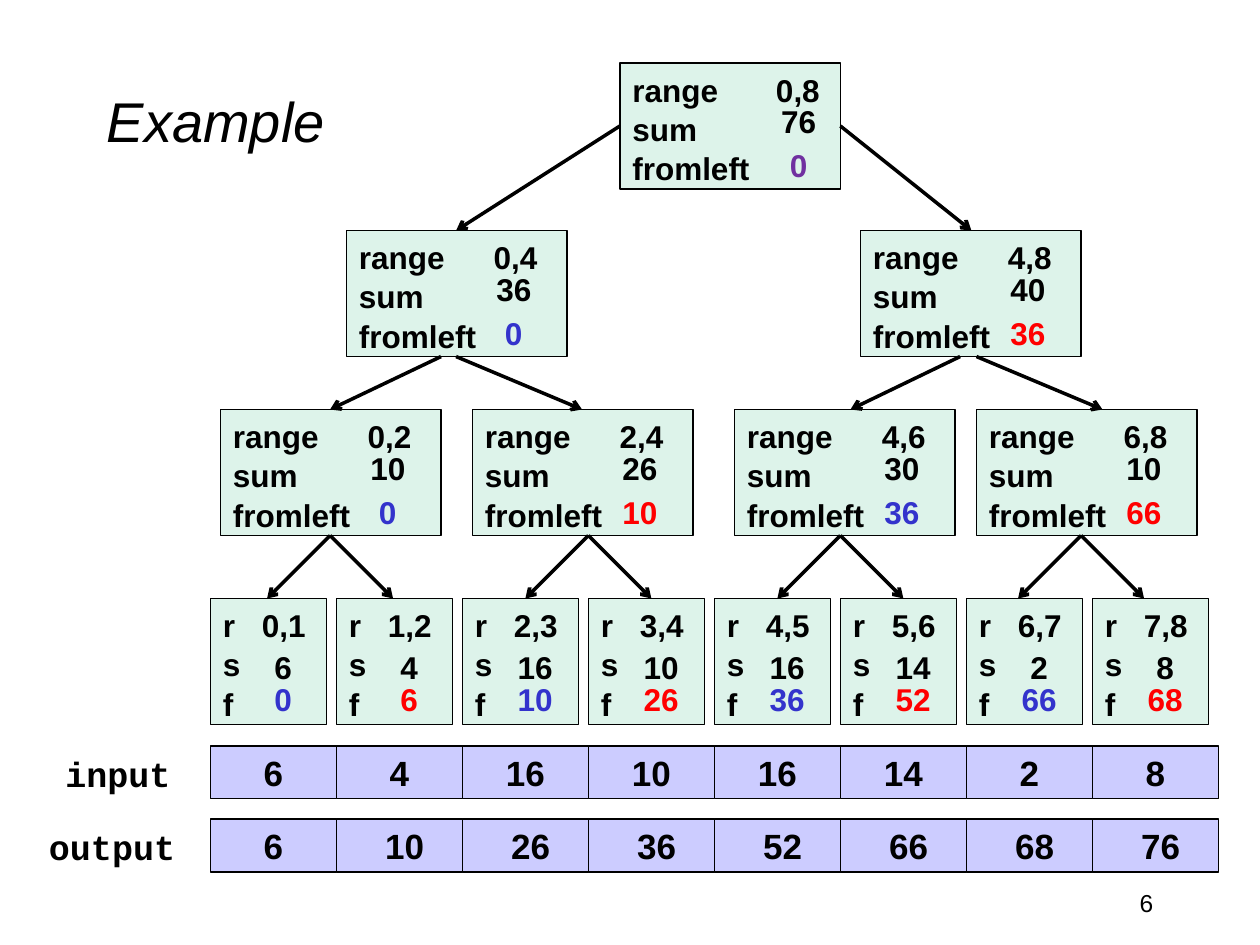
from lxml import etree
from pptx import Presentation
from pptx.dml.color import RGBColor
from pptx.enum.shapes import MSO_CONNECTOR, MSO_SHAPE
from pptx.enum.text import MSO_ANCHOR, MSO_AUTO_SIZE, PP_ALIGN
from pptx.oxml.ns import qn
from pptx.util import Cm, Pt

BLACK = RGBColor(0x00, 0x00, 0x00)
WHITE = RGBColor(0xFF, 0xFF, 0xFF)
MINT = RGBColor(0xDD, 0xF3, 0xEA)
LAVENDER = RGBColor(0xCC, 0xCC, 0xFF)
PURPLE = RGBColor(0x70, 0x30, 0xA0)
BLUE = RGBColor(0x33, 0x33, 0xCC)
RED = RGBColor(0xFF, 0x00, 0x00)


def inch(value):
    return Cm(2.54 * value)


class TreeSlide:
    font = "Arial"
    mono = "Courier New"
    node_size = 18
    cell_size = 20
    line_width = 0.75
    arrow_width = 2
    line_spacing = 1.04

    def __init__(self, slide):
        self.slide = slide
        background = slide.background.fill
        background.solid()
        background.fore_color.rgb = WHITE

    def fill_text(self, shape, lines, size, color=BLACK, bold=True, italic=False,
                  font=None, align=PP_ALIGN.LEFT, anchor=MSO_ANCHOR.TOP,
                  wrap=False, spacing=None, tab=None):
        frame = shape.text_frame
        frame.word_wrap = wrap
        frame.vertical_anchor = anchor
        for index, line in enumerate(lines):
            paragraph = frame.add_paragraph() if index else frame.paragraphs[0]
            paragraph.alignment = align
            if spacing:
                paragraph.line_spacing = spacing
            if tab and "\t" in line:
                tabs = etree.SubElement(paragraph._p.get_or_add_pPr(), qn("a:tabLst"))
                etree.SubElement(tabs, qn("a:tab"), pos=str(inch(tab)), algn="l")
            run = paragraph.add_run()
            run.text = line
            run.font.name = font or self.font
            run.font.size = Pt(size)
            run.font.bold = bold
            run.font.italic = italic
            run.font.color.rgb = color

    def text(self, x, y, w, h, content, size, grow=False, **style):
        box = self.slide.shapes.add_textbox(inch(x), inch(y), inch(w), inch(h))
        self.fill_text(box, [content], size, **style)
        if grow:
            box.text_frame.auto_size = MSO_AUTO_SIZE.SHAPE_TO_FIT_TEXT

    def box(self, x, y, w, h, fill):
        shape = self.slide.shapes.add_shape(
            MSO_SHAPE.RECTANGLE, inch(x), inch(y), inch(w), inch(h))
        shape.shadow.inherit = False
        shape.fill.solid()
        shape.fill.fore_color.rgb = fill
        shape.line.color.rgb = BLACK
        shape.line.width = Pt(self.line_width)
        return shape

    def value(self, center, y, number, color=BLACK):
        width = 0.34 if number < 10 else 0.48
        self.text(center - width / 2, y, width, 0.4, str(number), self.node_size,
                  grow=True, color=color, spacing=self.line_spacing)

    def node(self, x, y, width, labels, span, tab, center, offsets, total, left, color):
        first, *others = labels
        shape = self.box(x, y, width, 1, MINT)
        self.fill_text(shape, [f"{first}\t{span}", *others], self.node_size,
                       spacing=self.line_spacing, tab=tab)
        self.value(x + center, y + offsets[0], total)
        self.value(x + center, y + offsets[1], left, color)

    def array(self, y, label, label_x, label_width, values, nudged):
        self.text(label_x, y, label_width, 0.44, label, self.cell_size,
                  grow=True, font=self.mono)
        for column, number in enumerate(values):
            cell = self.box(1.67 + column, y, 1, 0.42, LAVENDER)
            if nudged and column:
                cell.text_frame.margin_left = inch(0.18)
            self.fill_text(cell, [str(number)], self.cell_size,
                           align=PP_ALIGN.CENTER, anchor=MSO_ANCHOR.MIDDLE)

    def arrow(self, x1, y1, x2, y2):
        connector = self.slide.shapes.add_connector(
            MSO_CONNECTOR.STRAIGHT, inch(x1), inch(y1), inch(x2), inch(y2))
        connector.line.color.rgb = BLACK
        connector.line.width = Pt(self.arrow_width)
        properties = connector._element.spPr
        etree.SubElement(properties.find(qn("a:ln")), qn("a:tailEnd"), type="arrow")
        etree.SubElement(properties, qn("a:effectLst"))


INNER_LABELS = ("range", "sum", "fromleft")
LEAF_LABELS = ("r", "s", "f")
INNER_NODES = [
    (4.92, 0.5, "0,8", 76, 0, PURPLE),
    (2.75, 1.83, "0,4", 36, 0, BLUE),
    (6.83, 1.83, "4,8", 40, 36, RED),
    (1.75, 3.25, "0,2", 10, 0, BLUE),
    (3.75, 3.25, "2,4", 26, 10, RED),
    (5.83, 3.25, "4,6", 30, 36, BLUE),
    (7.75, 3.25, "6,8", 10, 66, RED),
]
INPUT = [6, 4, 16, 10, 16, 14, 2, 8]
OUTPUT = [6, 10, 26, 36, 52, 66, 68, 76]
LEAF_FROMLEFT = [0, 6, 10, 26, 36, 52, 66, 68]
UPPER_ARROWS = [
    (4.92, 1, 3.62, 1.83), (6.67, 1, 7.71, 1.83),
    (3.5, 2.83, 2.62, 3.25), (3.62, 2.83, 4.62, 3.25),
    (7.62, 2.83, 6.75, 3.25), (7.75, 2.83, 8.75, 3.25),
]

prs = Presentation()
prs.slide_width, prs.slide_height = inch(10), inch(7.5)
tree = TreeSlide(prs.slides.add_slide(prs.slide_layouts[6]))

tree.text(0.75, 0.33, 8.5, 1.25, "Example", 32, bold=False, italic=True,
          anchor=MSO_ANCHOR.MIDDLE, wrap=True)
tree.text(7.17, 7, 2.08, 0.5, "6", 14, bold=False, align=PP_ALIGN.RIGHT, wrap=True)
tree.array(5.92, "input", 0.42, 1.04, INPUT, False)
tree.array(6.5, "output", 0.29, 1.21, OUTPUT, True)

for x, y, span, total, left, color in INNER_NODES:
    is_root = span == "0,8"
    tab, center = (1.14, 1.42) if is_root else (1.07, 1.33)
    tree.node(x, y, 1.75, INNER_LABELS, span, tab, center, (0.25, 0.6),
              total, left, color)
for i, (total, left) in enumerate(zip(INPUT, LEAF_FROMLEFT)):
    tree.node(1.67 + i, 4.75, 0.92, LEAF_LABELS, f"{i},{i + 1}", 0.31, 0.58,
              (0.33, 0.59), total, left, RED if i % 2 else BLUE)

for ends in UPPER_ARROWS:
    tree.arrow(*ends)
for x in (2.62, 4.67, 6.67, 8.58):
    for side in (-0.5, 0.5):
        tree.arrow(x, 4.25, x + side, 4.75)

prs.save("out.pptx")
